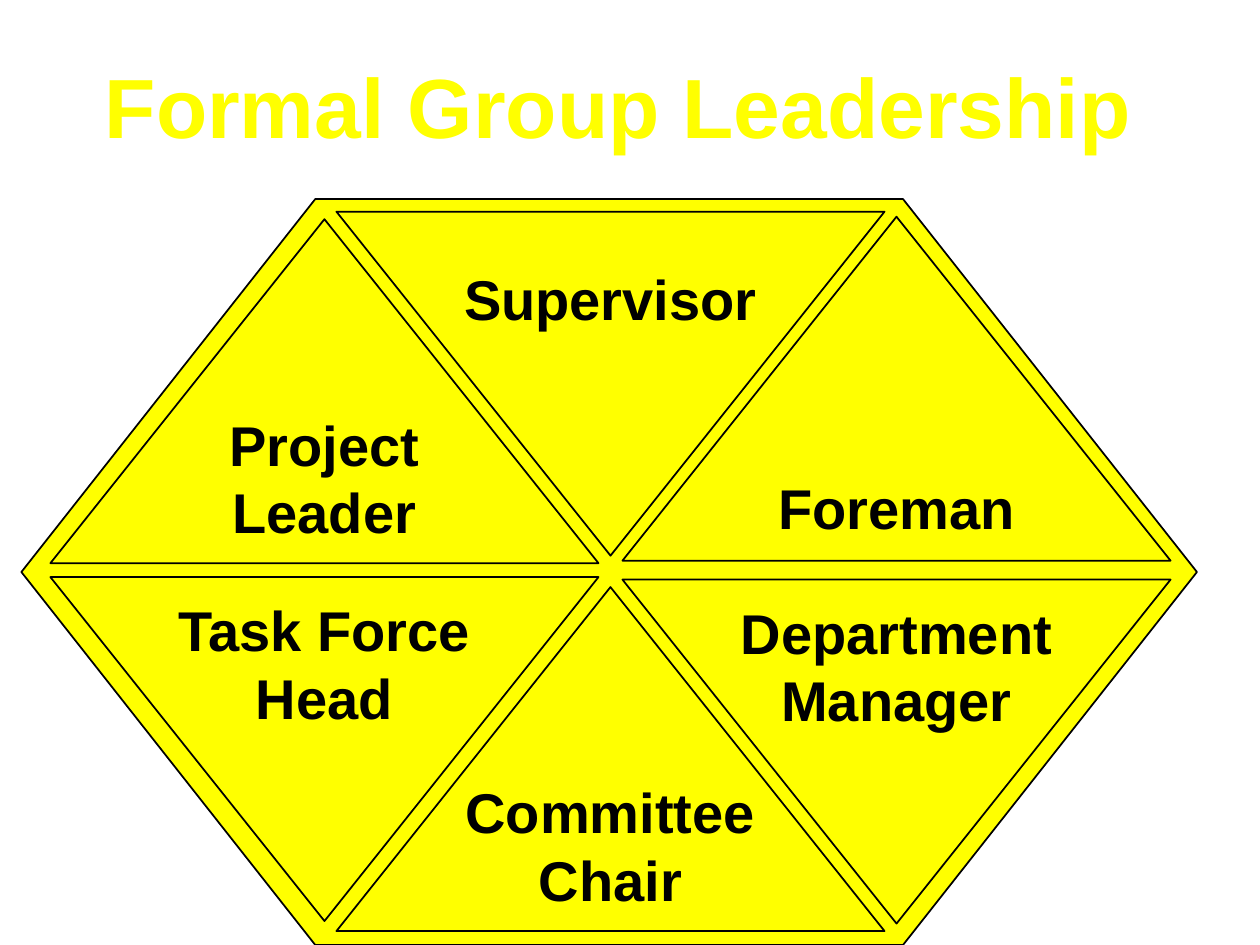
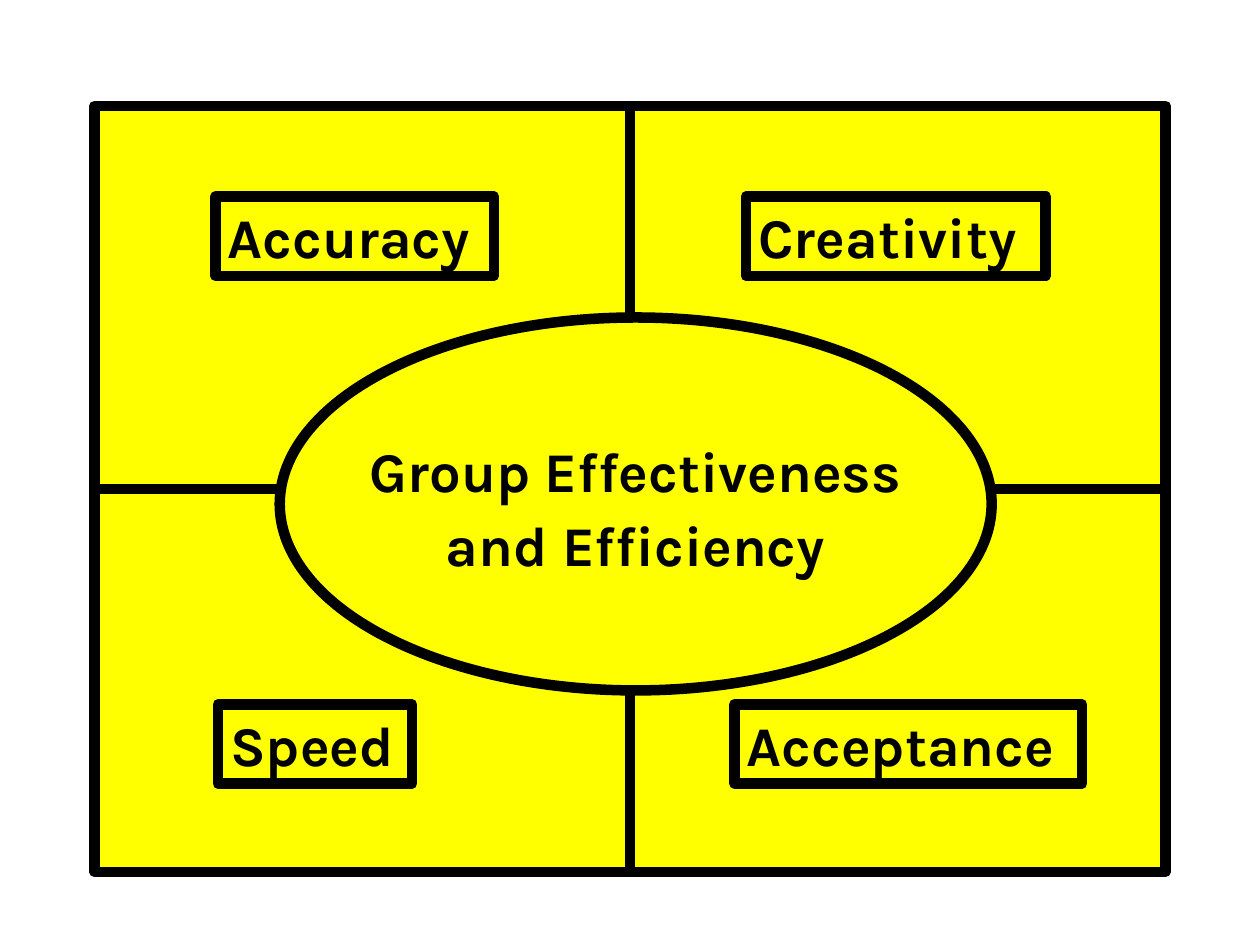
import pptx
import pptx.dml.color
import pptx.enum.shapes
import pptx.enum.text
import pptx.util

YELLOW = "FFFF00"
BLACK = "000000"
Inches = pptx.util.Inches
Shape = pptx.enum.shapes.MSO_SHAPE
Anchor = pptx.enum.text.MSO_ANCHOR
Align = pptx.enum.text.PP_ALIGN


def add_box(slide, kind, left, top, width, height, line_width):
    """Add a yellow shape with a black outline; lengths in inches."""
    shape = slide.shapes.add_shape(kind, Inches(left), Inches(top), Inches(width), Inches(height))
    shape.shadow.inherit = False
    shape.fill.solid()
    shape.fill.fore_color.rgb = pptx.dml.color.RGBColor.from_string(YELLOW)
    shape.line.color.rgb = pptx.dml.color.RGBColor.from_string(BLACK)
    shape.line.width = pptx.util.Pt(line_width)
    return shape


def write(shape, text, font_name, size=32, color=BLACK, align=Align.CENTER,
          anchor=Anchor.MIDDLE, wrap=False, line_spacing=None):
    """Fill a shape with bold text, one paragraph for each line."""
    frame = shape.text_frame
    frame.text = text
    frame.word_wrap = wrap
    frame.vertical_anchor = anchor
    for paragraph in frame.paragraphs:
        paragraph.alignment = align
        paragraph.line_spacing = line_spacing
        paragraph.font.name = font_name
        paragraph.font.size = pptx.util.Pt(size)
        paragraph.font.bold = True
        paragraph.font.color.rgb = pptx.dml.color.RGBColor.from_string(color)


presentation = pptx.Presentation()
WIDTH, HEIGHT = 10, 7.5
presentation.slide_width = Inches(WIDTH)
presentation.slide_height = Inches(HEIGHT)
blank = presentation.slide_layouts[6]

# Slide 1: hexagon of six leadership roles
slide = presentation.slides.add_slide(blank)
title = slide.shapes.add_textbox(Inches(0.05 * WIDTH), Inches(0.42), Inches(0.9 * WIDTH), Inches(0.83))
write(title, "Formal Group Leadership ", "Arial", size=48, color=YELLOW, wrap=True)

hexagon = add_box(slide, Shape.HEXAGON, 0.17, 1.58, 9.33, 5.92, 1)
hexagon.adjustments[0] = 0.394

TRIANGLE_WIDTH, TRIANGLE_HEIGHT = 4.35, 2.73
FIRST_COLUMN, COLUMN_STEP = 0.4, 2.27
roles = [  # text, column, top, points down
    ("Task Force\nHead", 0, 4.58, True),
    ("Supervisor", 1, 1.68, True),
    ("Committee\nChair", 1, 4.66, False),
    ("Project\nLeader", 0, 1.74, False),
    ("Foreman", 2, 1.72, False),
    ("Department\nManager", 2, 4.6, True),
]
for role, column, top, points_down in roles:
    triangle = add_box(slide, Shape.ISOSCELES_TRIANGLE, FIRST_COLUMN + column * COLUMN_STEP, top,
                       TRIANGLE_WIDTH, TRIANGLE_HEIGHT, 1)
    write(triangle, role, "Arial")
    frame = triangle.text_frame
    frame.margin_left = frame.margin_right = Inches(0.12)
    frame.margin_top = frame.margin_bottom = Inches(0.06)
    if points_down:
        triangle.rotation = 180
        triangle.element.txBody.bodyPr.set("rot", "10800000")  # keeps the text upright
    elif role == "Foreman":
        frame.margin_top = Inches(0.57)  # the single word sits one line lower

# Slide 2: four quadrants around an ellipse
slide = presentation.slides.add_slide(blank)
QUADRANT_WIDTH, QUADRANT_HEIGHT = 4.25, 3.04
for column in range(2):
    for row in range(2):
        add_box(slide, Shape.RECTANGLE, 0.75 + column * QUADRANT_WIDTH, 0.84 + row * QUADRANT_HEIGHT,
                QUADRANT_WIDTH, QUADRANT_HEIGHT, 6)

ellipse = add_box(slide, Shape.OVAL, 2.22, 2.52, 5.65, 2.96, 6)
write(ellipse, "Group Effectiveness\nand Efficiency", "Karla", line_spacing=1.1)

UPPER_ROW, LOWER_ROW = 1.56, 5.59
criteria = [  # text, left, top, width
    ("Accuracy", 1.71, UPPER_ROW, 2.21),
    ("Creativity", 5.92, UPPER_ROW, 2.38),
    ("Acceptance", 5.83, LOWER_ROW, 2.76),
    ("Speed", 1.73, LOWER_ROW, 1.54),
]
for criterion, left, top, width in criteria:
    label = add_box(slide, Shape.RECTANGLE, left, top, width, 0.63, 6)
    write(label, criterion, "Karla", align=Align.LEFT, anchor=Anchor.TOP)
    label.text_frame.auto_size = pptx.enum.text.MSO_AUTO_SIZE.SHAPE_TO_FIT_TEXT

presentation.save("out.pptx")
